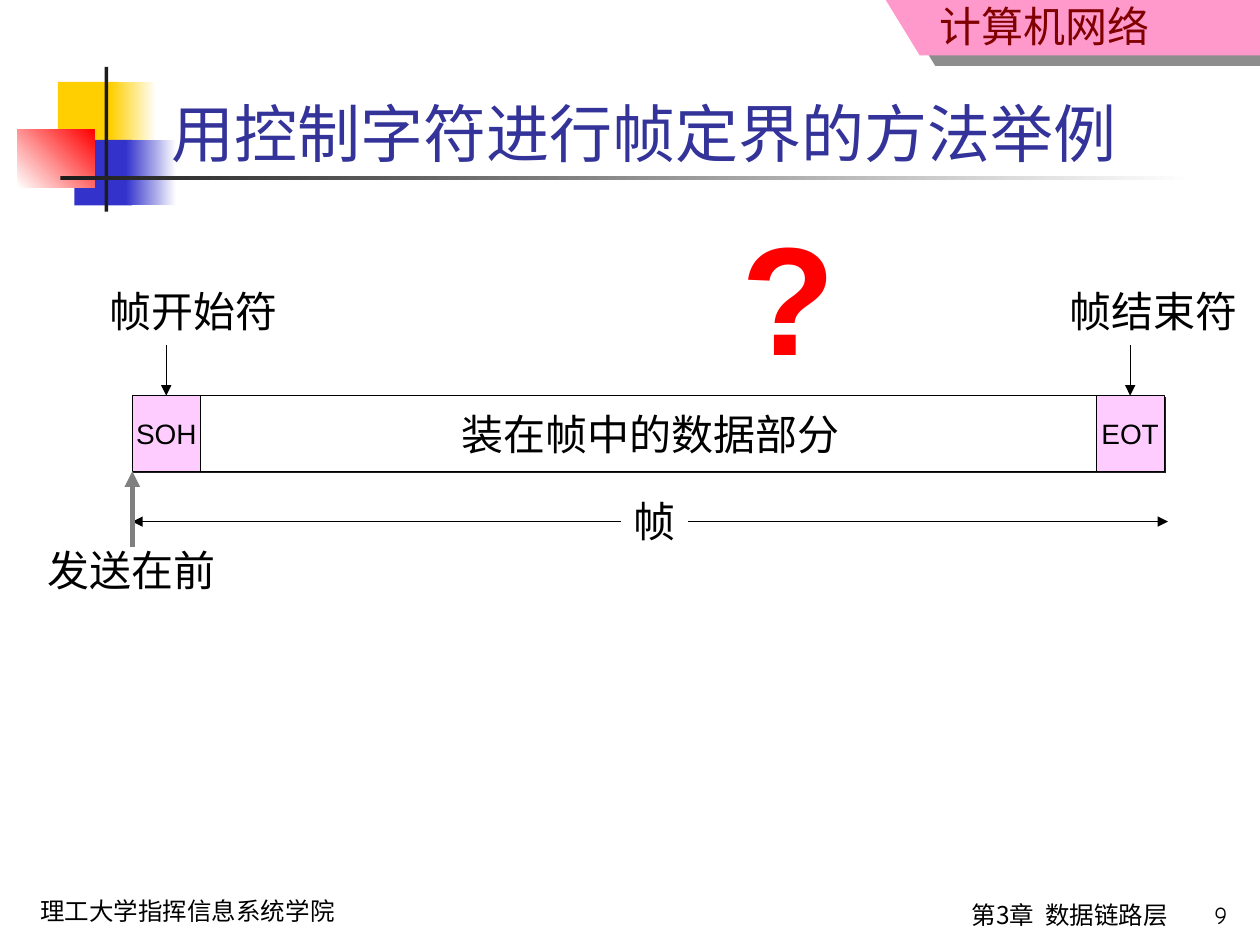
"""Build the slide on frame delimiting with control characters."""
from dataclasses import dataclass
from typing import Optional

from lxml import etree
from pptx import Presentation
from pptx import util as u
from pptx.dml.color import RGBColor
from pptx.enum import shapes, text
from pptx.oxml import ns


@dataclass(frozen=True)
class Theme:
    black: str = "000000"
    white: str = "FFFFFF"
    ink: str = "1C1C1C"
    yellow: str = "FFCF01"
    blue: str = "3333CC"
    red: str = "FF0000"
    banner: str = "FF99CC"
    maroon: str = "800000"
    navy: str = "333399"
    control: str = "FFCCFF"
    grey: str = "808080"
    sans: str = "Arial"
    comic: str = "Comic Neue"
    cjk: str = "Noto Sans CJK SC"
    footer: int = 14
    code: int = 16
    body: int = 24
    title: int = 36
    mark: int = 88


@dataclass(frozen=True)
class Box:
    left: float
    top: float
    width: float
    height: float


@dataclass(frozen=True)
class Swatch:
    box: Box
    color: str
    fade_to: Optional[str] = None
    angle: float = 0


@dataclass(frozen=True)
class Label:
    words: str
    box: Box
    size: int
    font: str
    color: str = "000000"
    align: text.PP_ALIGN = text.PP_ALIGN.LEFT
    wrap: bool = True
    fill: Optional[str] = None
    inset_top: float = 0.05
    grow: bool = True


@dataclass(frozen=True)
class Field:
    words: str
    left: float
    width: float
    fill: str
    size: int


@dataclass(frozen=True)
class Arrow:
    start: tuple[float, float]
    end: tuple[float, float]
    color: str = "000000"
    weight: float = 0.75
    both_ends: bool = False


T = Theme()
FIELD_TOP, FIELD_HEIGHT = 3.14, 0.6
FRAME_LEFT, CONTROL_WIDTH, EOT_LEFT = 1.05, 0.54, 8.7


def rgb(color: str) -> RGBColor:
    """Turn a hex string into a colour."""
    return RGBColor.from_string(color)


def place(box: Box) -> tuple:
    """Give a box as four lengths."""
    return tuple(u.Inches(v) for v in (box.left, box.top, box.width, box.height))


def write(paragraph, words: str, size: int, font: str, color: str, bold: bool = False):
    """Add one formatted run."""
    run = paragraph.add_run()
    run.text = words
    run.font.size, run.font.name, run.font.bold = u.Pt(size), font, bold
    run.font.color.rgb = rgb(color)
    return run


def cast_shadow(effects, color: str, alpha: int, distance: float, angle: int) -> None:
    """Put an outer shadow into an effect list."""
    outer = etree.SubElement(effects, ns.qn("a:outerShdw"), blurRad="0",
                             dist=str(u.Pt(distance)), dir=str(angle * 60000),
                             algn="ctr", rotWithShape="0")
    tint = etree.SubElement(outer, ns.qn("a:srgbClr"), val=color)
    etree.SubElement(tint, ns.qn("a:alpha"), val=str(alpha * 1000))


def shape_shadow(shape, alpha: int, distance: float, angle: int) -> None:
    """Replace the inherited shadow of a shape."""
    shape.shadow.inherit = False
    effects = shape._element.spPr.find(ns.qn("a:effectLst"))
    cast_shadow(effects, T.ink, alpha, distance, angle)


def draw_swatch(slide, swatch: Swatch) -> None:
    """Draw one plain or fading rectangle."""
    block = slide.shapes.add_shape(shapes.MSO_SHAPE.RECTANGLE, *place(swatch.box))
    block.shadow.inherit = False
    block.line.fill.background()
    if swatch.fade_to is None:
        block.fill.solid()
        block.fill.fore_color.rgb = rgb(swatch.color)
        return
    block.fill.gradient()
    block.fill.gradient_angle = swatch.angle
    for stop, color in zip(block.fill.gradient_stops, (swatch.color, swatch.fade_to)):
        stop.color.rgb = rgb(color)


def draw_banner(slide) -> None:
    """Draw the slanted course banner."""
    builder = slide.shapes.build_freeform(u.Inches(7.03), 0)
    corners = [(7.3, 0.44), (10, 0.44), (10, 0)]
    builder.add_line_segments([(u.Inches(x), u.Inches(y)) for x, y in corners])
    banner = builder.convert_to_shape()
    banner.fill.solid()
    banner.fill.fore_color.rgb = rgb(T.banner)
    banner.line.fill.background()
    shape_shadow(banner, 50, 10.8, 34)


def draw_label(slide, label: Label, bold: bool = False):
    """Draw a text box and return its run."""
    holder = slide.shapes.add_textbox(*place(label.box))
    if label.fill:
        holder.fill.solid()
        holder.fill.fore_color.rgb = rgb(label.fill)
    frame = holder.text_frame
    frame.word_wrap = label.wrap
    frame.margin_top = u.Inches(label.inset_top)
    if label.grow:
        frame.auto_size = text.MSO_AUTO_SIZE.SHAPE_TO_FIT_TEXT
    paragraph = frame.paragraphs[0]
    paragraph.alignment = label.align
    return write(paragraph, label.words, label.size, label.font, label.color, bold)


def draw_field(slide, field: Field):
    """Draw one field of the frame."""
    box = Box(field.left, FIELD_TOP, field.width, FIELD_HEIGHT)
    cell = slide.shapes.add_shape(shapes.MSO_SHAPE.RECTANGLE, *place(box))
    cell.fill.solid()
    cell.fill.fore_color.rgb = rgb(field.fill)
    cell.line.color.rgb = rgb(T.black)
    cell.line.width = u.Pt(0.75)
    shape_shadow(cell, 100, 1.4, 45)
    frame = cell.text_frame
    frame.word_wrap = False
    frame.vertical_anchor = text.MSO_ANCHOR.MIDDLE
    frame.paragraphs[0].alignment = text.PP_ALIGN.CENTER
    write(frame.paragraphs[0], field.words, field.size, T.sans, T.black)
    return cell


def draw_arrow(slide, arrow: Arrow):
    """Draw a straight arrow."""
    ends = [u.Inches(v) for v in (*arrow.start, *arrow.end)]
    link = slide.shapes.add_connector(shapes.MSO_CONNECTOR.STRAIGHT, *ends)
    link.line.color.rgb = rgb(arrow.color)
    link.line.width = u.Pt(arrow.weight)
    line = link.line._get_or_add_ln()
    for tag in ("a:headEnd", "a:tailEnd") if arrow.both_ends else ("a:tailEnd",):
        etree.SubElement(line, ns.qn(tag), type="triangle")
    etree.SubElement(link._element.spPr, ns.qn("a:effectLst"))
    return link


def draw_title(slide) -> None:
    """Format the title and bring it in front of the decoration."""
    title = slide.shapes.title
    title.left, title.top, title.width, title.height = place(Box(1.26, 0.33, 8.52, 1.07))
    title.text_frame.vertical_anchor = text.MSO_ANCHOR.BOTTOM
    paragraph = title.text_frame.paragraphs[0]
    paragraph.alignment = text.PP_ALIGN.LEFT
    write(paragraph, "用控制字符进行帧定界的方法举例", T.title, T.sans, T.navy)
    slide.shapes._spTree.append(title._element)


def draw_decoration(slide) -> None:
    """Draw the corner blocks, banner and footers."""
    for swatch in (
        Swatch(Box(0.46, 0.65, 0.48, 0.52), T.yellow),
        Swatch(Box(0.88, 0.65, 0.36, 0.52), T.yellow, T.white),
        Swatch(Box(0.59, 1.11, 0.46, 0.52), T.blue),
        Swatch(Box(1, 1.11, 0.4, 0.52), T.blue, T.white),
        Swatch(Box(0.14, 1.03, 0.61, 0.46), T.white, T.red, 45),
        Swatch(Box(0.83, 0.53, 0.03, 1.15), T.ink),
        Swatch(Box(0.48, 1.4, 9, 0.03), T.ink, T.white),
    ):
        draw_swatch(slide, swatch)
    draw_banner(slide)
    right = text.PP_ALIGN.RIGHT
    for label in (
        Label("理工大学指挥信息系统学院", Box(0.22, 7.06, 3.11, 0.34), T.footer, T.comic),
        Label("计算机网络", Box(5.82, 0, 3.4, 0.45), T.body, T.cjk, T.maroon, right,
              inset_top=0),
        Label("第3章  数据链路层", Box(4.29, 7.09, 5.08, 0.41), T.footer, T.cjk,
              align=right, grow=False),
        Label("9", Box(9.05, 7.09, 0.79, 0.38), T.footer, T.comic, align=right, grow=False),
    ):
        draw_label(slide, label)


def draw_frame(slide) -> None:
    """Draw the frame, its callouts and the question mark."""
    data_left = FRAME_LEFT + CONTROL_WIDTH
    soh, _, eot = [draw_field(slide, field) for field in (
        Field("SOH", FRAME_LEFT, CONTROL_WIDTH, T.control, T.code),
        Field("装在帧中的数据部分", data_left, 7.14, T.white, T.body),
        Field("EOT", EOT_LEFT, CONTROL_WIDTH, T.control, T.code),
    )]
    for left, cell in ((FRAME_LEFT, soh), (EOT_LEFT, eot)):
        middle = left + CONTROL_WIDTH / 2
        draw_arrow(slide, Arrow((middle, 2.74), (middle, FIELD_TOP))).end_connect(cell, 0)
    draw_arrow(slide, Arrow((FRAME_LEFT, 4.14), (9.27, 4.14), both_ends=True))
    draw_arrow(slide, Arrow((FRAME_LEFT, 4.34), (FRAME_LEFT, FIELD_TOP + FIELD_HEIGHT),
                            T.grey, 3))
    for words, left, top, width, fill in (
        ("帧", 4.93, 3.88, 0.53, T.white),
        ("帧开始符", 0.77, 2.22, 1.53, None),
        ("帧结束符", 8.39, 2.22, 1.53, None),
        ("发送在前", 0.28, 4.27, 1.53, None),
    ):
        draw_label(slide, Label(words, Box(left, top, width, 0.5), T.body, T.sans,
                                wrap=False, fill=fill))
    mark = draw_label(slide, Label("?", Box(5.79, 1.55, 0.86, 1.57), T.mark, T.sans, T.red),
                      bold=True)
    effects = etree.Element(ns.qn("a:effectLst"))
    mark.font._element.find(ns.qn("a:solidFill")).addnext(effects)
    cast_shadow(effects, T.grey, 100, 4, 45)


def main() -> None:
    """Build and save the slide."""
    deck = Presentation()
    deck.slide_width, deck.slide_height = u.Inches(10), u.Inches(7.5)
    slide = deck.slides.add_slide(deck.slide_layouts[5])
    draw_decoration(slide)
    draw_title(slide)
    draw_frame(slide)
    deck.save("out.pptx")


if __name__ == "__main__":
    main()
